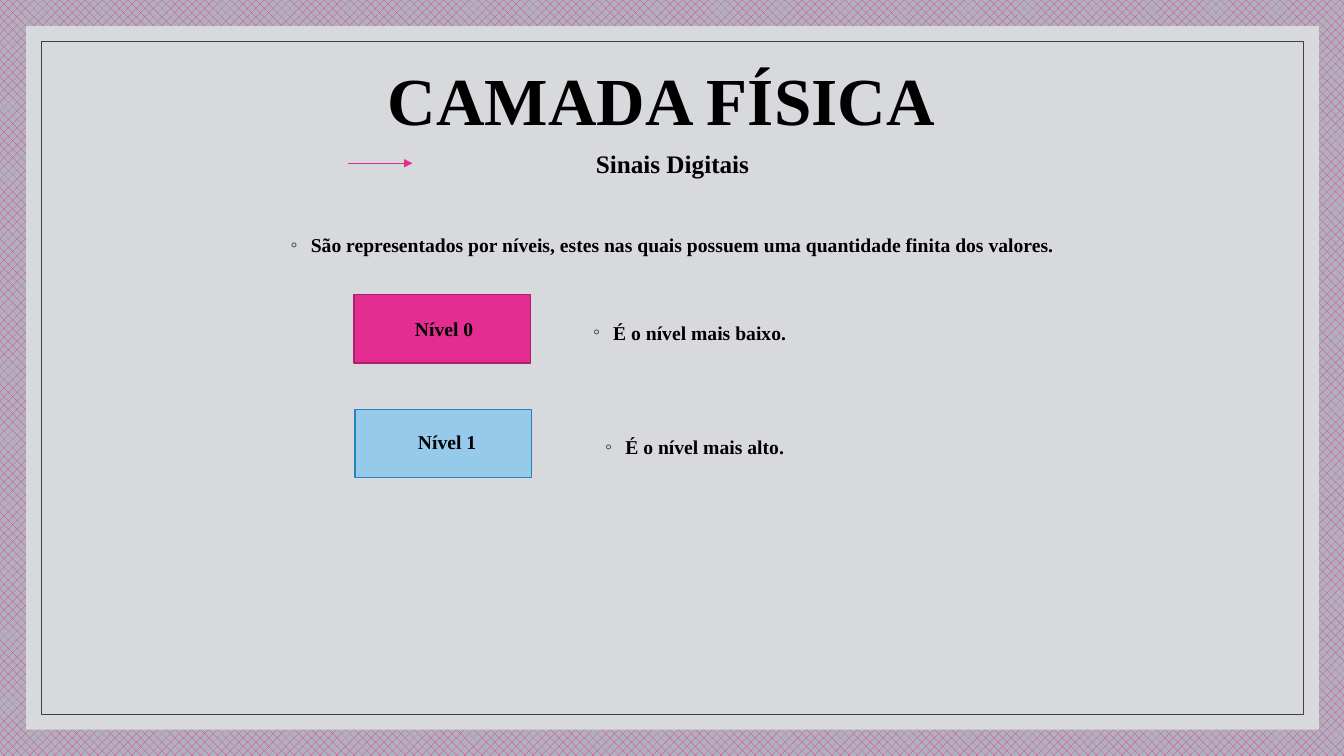
import pptx
import pptx.util
import pptx.dml.color
import pptx.enum.dml
import pptx.enum.shapes
import pptx.enum.text
import pptx.oxml
import pptx.oxml.ns

Inches = pptx.util.Inches
RECT = pptx.enum.shapes.MSO_SHAPE.RECTANGLE
MID = pptx.enum.text.MSO_ANCHOR.MIDDLE
TOP = pptx.enum.text.MSO_ANCHOR.TOP
NS = pptx.oxml.ns.nsdecls("a")


def tint(hue):
    return pptx.dml.color.RGBColor.from_string(hue)


def mark(para):
    props = para._p.get_or_add_pPr()
    props.set("marL", str(Inches(0.2)))
    props.set("indent", str(Inches(-0.2)))
    for xml in (
        f'<a:buClr {NS}><a:srgbClr val="262626"/></a:buClr>',
        f'<a:buFont {NS} typeface="Times New Roman"/>',
        f'<a:buChar {NS} char="◦"/>',
    ):
        props.append(pptx.oxml.parse_xml(xml))


def write(slide, box, text, size=14, anchor=TOP, space=1.0, dot=False):
    frame = slide.shapes.add_textbox(*map(Inches, box)).text_frame
    frame.word_wrap = True
    frame.vertical_anchor = anchor
    para = frame.paragraphs[0]
    para.alignment = pptx.enum.text.PP_ALIGN.CENTER
    para.line_spacing = space
    if dot:
        mark(para)
    run = para.add_run()
    run.text = text
    run.font.name = "Times New Roman"
    run.font.size = pptx.util.Pt(size)
    run.font.bold = True
    run.font.color.rgb = tint("000000")


def block(slide, box, fill=None, edge=None, width=1):
    shape = slide.shapes.add_shape(RECT, *map(Inches, box))
    shape.shadow.inherit = False
    if fill:
        shape.fill.solid()
        shape.fill.fore_color.rgb = tint(fill)
    else:
        shape.fill.background()
    if edge:
        shape.line.color.rgb = tint(edge)
        shape.line.width = pptx.util.Pt(width)
    else:
        shape.line.fill.background()


def arrow(slide, left, top, width):
    line = slide.shapes.add_connector(
        pptx.enum.shapes.MSO_CONNECTOR.STRAIGHT,
        Inches(left), Inches(top), Inches(left + width), Inches(top))
    line.line.color.rgb = tint("E32D91")
    line.line.width = pptx.util.Pt(0.5)
    line.line._get_or_add_ln().append(
        pptx.oxml.parse_xml(f'<a:tailEnd {NS} type="triangle"/>'))
    line._element.spPr.append(pptx.oxml.parse_xml(f"<a:effectLst {NS}/>"))


def frame(slide, box):
    fill = slide.background.fill
    fill.patterned()
    fill.pattern = pptx.enum.dml.MSO_PATTERN.from_xml("pct40")
    fill.fore_color.rgb = tint("E32D91")
    fill.back_color.rgb = tint("B1B1BD")
    left, top, width, height = box
    gap = 0.15
    block(slide, box, fill="D8D9DC")
    block(slide, (left + gap, top + gap, width - 2 * gap, height - 2 * gap),
          edge="404040", width=0.5)


def header(slide, box):
    left, top, width, height = box
    write(slide, box, "CAMADA FÍSICA", size=48, anchor=MID, space=0.9)
    write(slide, (left + 0.11, top + 1.14, width, 0.65), "Sinais Digitais", size=18)
    arrow(slide, left + 2.39, top + 1.34, 0.64)


def level(slide, box, name, note, fill, edge, label, start):
    left, top, width, height = box
    block(slide, box, fill=fill, edge=edge)
    write(slide, (left + label[0], top + label[1], width, 0.57), name,
          anchor=MID, space=0.9)
    write(slide, (start, top + 0.21, 9.58, height), note, dot=True)


def main():
    deck = pptx.Presentation()
    deck.slide_width = Inches(13.33)
    deck.slide_height = Inches(7.5)
    slide = deck.slides.add_slide(deck.slide_layouts[6])
    frame(slide, (0.26, 0.26, 12.82, 6.98))
    header(slide, (1.06, 0.28, 11, 1.5))
    write(slide, (1.88, 2.26, 9.58, 0.68),
          "São representados por níveis, estes nas quais possuem uma "
          "quantidade finita dos valores.", dot=True)
    level(slide, (3.51, 2.92, 1.75, 0.68), "Nível 0", "É o nível mais baixo.",
          "E32D91", "A8216B", (0.02, 0.07), 2.05)
    level(slide, (3.52, 4.06, 1.75, 0.68), "Nível 1", "É o nível mais alto.",
          "95CAEA", "2582BB", (0.04, 0.05), 2.1)
    deck.save("out.pptx")


if __name__ == "__main__":
    main()
